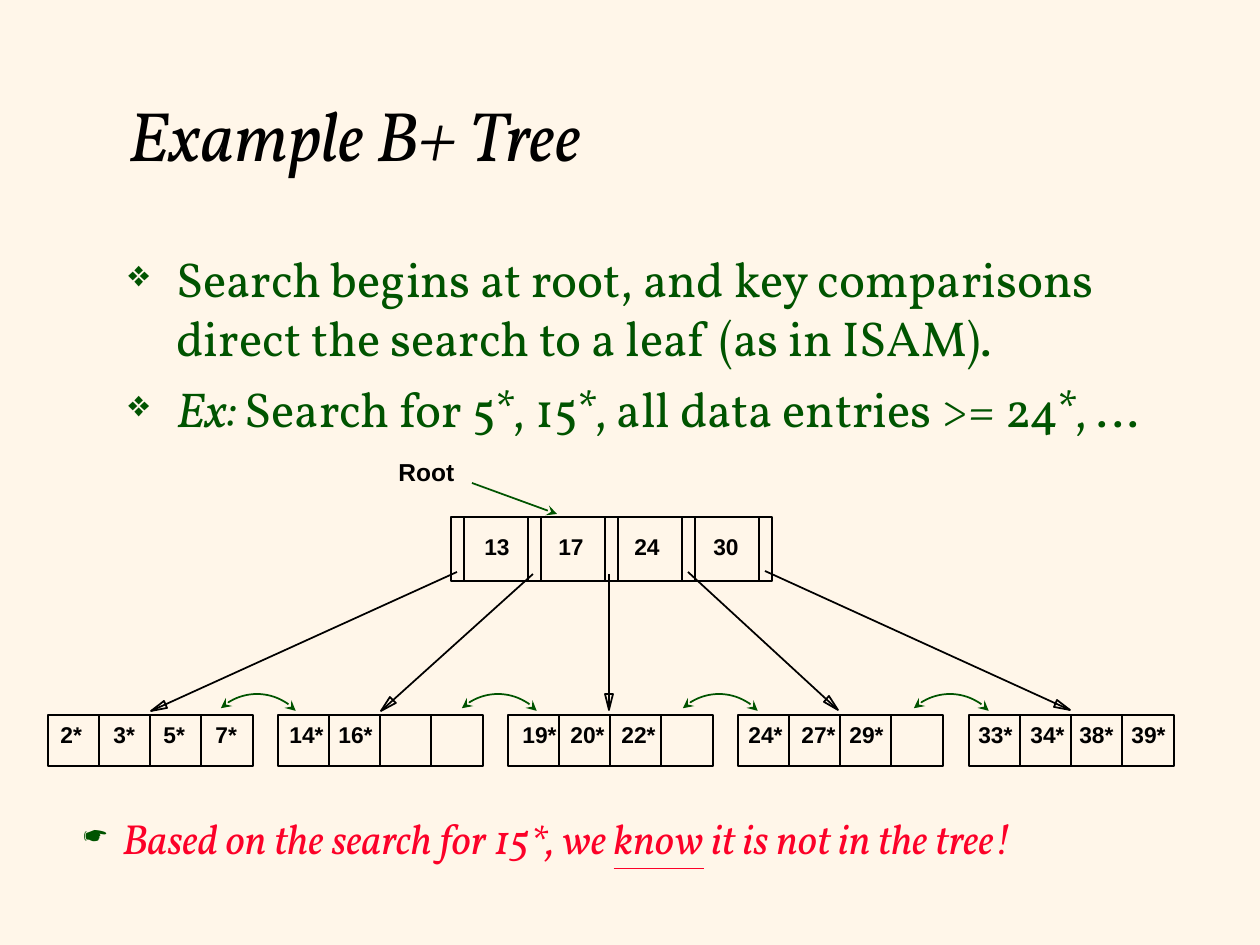
import math
from lxml import etree
from pptx import Presentation
from pptx.dml.color import RGBColor
from pptx.enum.shapes import MSO_CONNECTOR, MSO_SHAPE
from pptx.enum.text import MSO_ANCHOR
from pptx.oxml.ns import qn
from pptx.util import Emu, Pt

STRAIGHT = MSO_CONNECTOR.STRAIGHT
RECT, ARC = MSO_SHAPE.RECTANGLE, MSO_SHAPE.ARC
MIDDLE = MSO_ANCHOR.MIDDLE
PX = 914400 / 126

THEME = {
    "paper": RGBColor.from_string("FFF6E9"),
    "black": RGBColor.from_string("000000"),
    "green": RGBColor.from_string("005400"),
    "red": RGBColor.from_string("FC0128"),
    "serif": "Vollkorn", "sans": "Arial",
    "title": Pt(40), "body": Pt(28), "note": Pt(24), "root": Pt(14), "key": Pt(13),
    "line": Pt(1),
}


def px(*lengths):
    return [Emu(round(n * PX)) for n in lengths]


def add_text(box, paragraphs, size, color, font="serif", bullet=None, indent=0, wrap=True):
    """Each paragraph is a list of (text, style) runs; style overrides color, italic and so on."""
    tf = s.shapes.add_textbox(*px(*box)).text_frame
    tf.word_wrap = wrap
    for i, runs in enumerate(paragraphs):
        p = tf.paragraphs[0] if i == 0 else tf.add_paragraph()
        if bullet:
            pPr = p._p.get_or_add_pPr()
            margin = round(indent * PX)
            pPr.set("marL", str(margin))
            pPr.set("indent", str(-margin))
            clr = etree.SubElement(pPr, qn("a:buClr"))
            etree.SubElement(clr, qn("a:srgbClr")).set("val", str(THEME["green"]))
            etree.SubElement(pPr, qn("a:buSzPct")).set("val", "75000")
            etree.SubElement(pPr, qn("a:buChar")).set("char", bullet)
        if i:
            p.space_before = Pt(7)
        for text, style in runs:
            r = p.add_run()
            r.text = text
            r.font.name, r.font.size = THEME[font], THEME[size]
            r.font.color.rgb = THEME[style.get("color", color)]
            r.font.bold = style.get("bold", False)
            r.font.italic = style.get("italic", False)
            r.font.underline = style.get("underline", False)
    return tf


prs = Presentation()
prs.slide_width, prs.slide_height = px(1260, 945)
s = prs.slides.add_slide(prs.slide_layouts[6])
s.background.fill.solid()
s.background.fill.fore_color.rgb = THEME["paper"]

# Title, bullets and closing remark
tf = add_text((116, 58, 1071, 152), [[("Example B+ Tree", {"italic": True})]], "title", "black")
tf.vertical_anchor = MIDDLE
add_text((116, 242, 1081, 562), [
    [("Search begins at root, and key comparisons direct the search to a leaf (as in ISAM).", {})],
    [("Ex: ", {"italic": True}), ("Search for 5*, 15*, all data entries >= 24*, ...", {})],
], "body", "green", bullet="❖", indent=48)
add_text((71, 806, 1123, 63), [[
    ("Based on the search for 15*, we ", {"italic": True}),
    ("know", {"italic": True, "underline": True}),
    (" it is not in the tree!", {"italic": True}),
]], "note", "red", bullet="☛", indent=39)

# Node cells: the root ends with a narrow pointer slot, each leaf has four entries
ROOT_X, ROOT_Y, ROOT_W, ROOT_H, SLOT = 451, 517, 77, 64, 13
LEAF_X, LEAF_Y, LEAF_W, LEAF_H = 48, 715, 205, 51
root_xs = [ROOT_X + ROOT_W * i for i in range(5)]
cells = [(x, ROOT_Y, ROOT_W, ROOT_H) for x in root_xs[:4]]
cells.append((root_xs[4], ROOT_Y, SLOT, ROOT_H))
for leaf in range(5):
    left = LEAF_X + 921 * leaf // 4
    edges = [left + LEAF_W * i // 4 for i in range(5)]
    cells += [(a, LEAF_Y, b - a, LEAF_H) for a, b in zip(edges, edges[1:])]
for cell in cells:
    sp = s.shapes.add_shape(RECT, *px(*cell))
    sp.shadow.inherit = False
    sp.fill.background()
    sp.line.color.rgb, sp.line.width = THEME["black"], THEME["line"]

# Slot dividers, child pointers and the arrow to the root
pointers = [
    (457, 572, 151, 711), (533, 574, 381, 711), (609, 574, 609, 710),
    (688, 572, 838, 710), (765, 571, 1070, 710),
]
dividers = [(x + SLOT, ROOT_Y, x + SLOT, ROOT_Y + ROOT_H) for x in root_xs[:4]]
root_arrow = (472, 483, 557, 514)
for ends in dividers + pointers + [root_arrow]:
    line = s.shapes.add_connector(STRAIGHT, *px(*ends))
    etree.SubElement(line._element.spPr, qn("a:effectLst"))
    line.line.width = THEME["line"]
    line.line.color.rgb = THEME["green" if ends == root_arrow else "black"]
    if ends == root_arrow:
        etree.SubElement(line.line._get_or_add_ln(), qn("a:tailEnd")).set("type", "stealth")

# Hollow heads of the child pointers
HEAD_LENGTH, HEAD_HALF = 16, 4
for x1, y1, x2, y2 in pointers:
    length = math.hypot(x2 - x1, y2 - y1)
    ux, uy = (x2 - x1) / length, (y2 - y1) / length
    base_x, base_y = x2 - HEAD_LENGTH * ux, y2 - HEAD_LENGTH * uy
    corners = [(base_x - k * uy, base_y + k * ux) for k in (HEAD_HALF, -HEAD_HALF)]
    builder = s.shapes.build_freeform(x2, y2, scale=PX)
    builder.add_line_segments(corners, close=True)
    sp = builder.convert_to_shape()
    sp.shadow.inherit = False
    sp.fill.background()
    sp.line.color.rgb, sp.line.width = THEME["black"], THEME["line"]

# Keys
add_text((386, 451, 81, 42), [[("Root", {"bold": True})]], "root", "black", "sans", wrap=False)
key_rows = [
    (527, 50, [("13", 472), ("17", 546), ("24", 622), ("30", 701)]),
    (715, 47, [("2*", 48), ("3*", 101), ("5*", 151), ("7*", 203)]),
    (715, 59, [("14*", 277), ("16*", 326), ("19*", 510), ("20*", 558), ("22*", 609),
               ("24*", 736), ("27*", 789), ("29*", 837),
               ("33*", 966), ("34*", 1018), ("38*", 1067), ("39*", 1119)]),
]
for y, w, keys in key_rows:
    for key, x in keys:
        add_text((x, y, w, 39), [[(key, {"bold": True})]], "key", "black", "sans", wrap=False)

# Sibling links between neighbouring leaves
RADIUS, ARC_Y = 53, 747
for x in (257, 498, 719, 950):
    sp = s.shapes.add_shape(ARC, *px(x - RADIUS, ARC_Y - RADIUS, 2 * RADIUS, 2 * RADIUS))
    for i, degrees in enumerate((227, 317)):
        sp.adjustments[i] = degrees * 0.6
    sp.shadow.inherit = False
    sp.fill.background()
    sp.line.color.rgb, sp.line.width = THEME["green"], THEME["line"]
    for end in ("a:headEnd", "a:tailEnd"):
        etree.SubElement(sp.line._get_or_add_ln(), qn(end)).set("type", "stealth")

prs.save("out.pptx")
